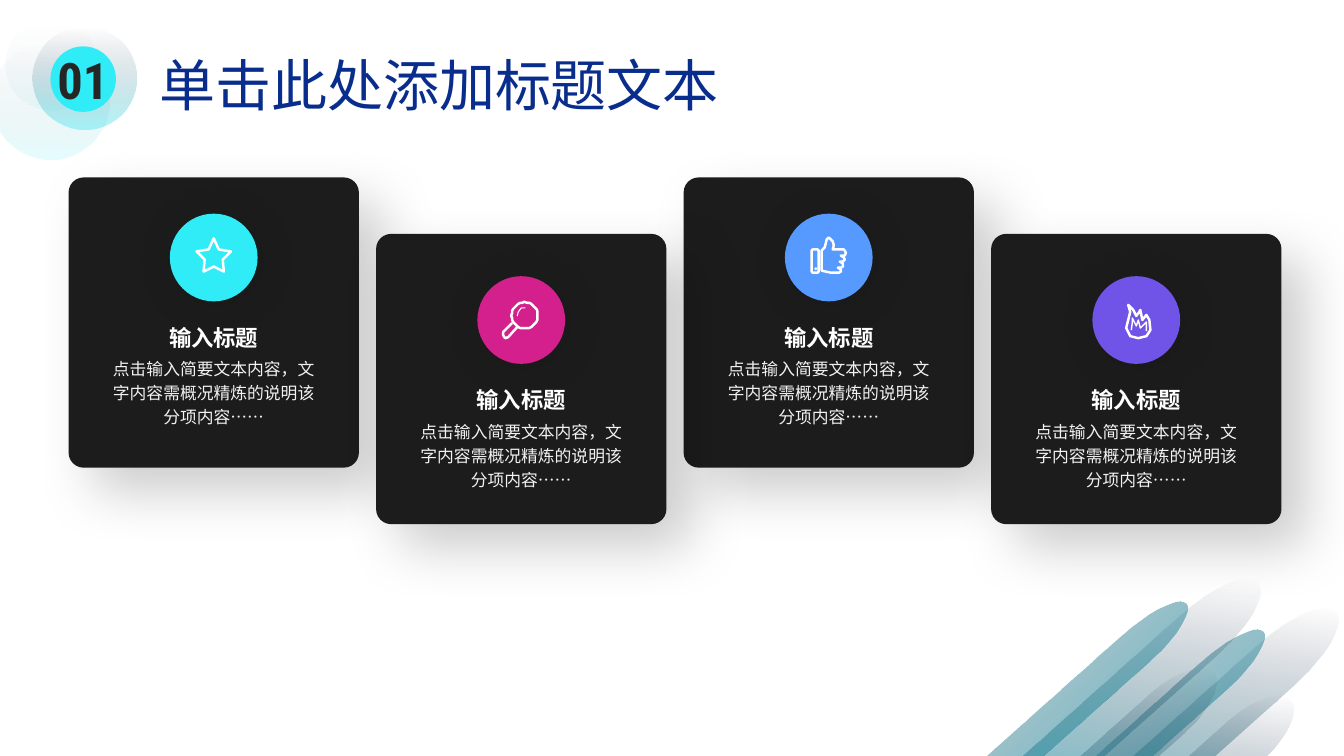
import math
from lxml import etree
from pptx import Presentation
from pptx import util as u
from pptx.dml.color import RGBColor
from pptx.enum import shapes, text
from pptx.oxml import ns

COLORS = {
    "navy": "082D8C", "cyan": "30ECF7", "night": "18122E", "card": "1C1C1C",
    "pink": "D4208C", "blue": "5699FF", "violet": "7054E7", "white": "FFFFFF",
    "soft": "F2F2F2", "number": "262626", "black": "000000",
}
CJK = "Noto Sans CJK SC"


def ring(x, y, radius, steps=36):
    turns = [2 * math.pi * step / steps for step in range(steps)]
    return [(x + radius * math.cos(turn), y + radius * math.sin(turn)) for turn in turns]


ICONS = {
    "star": [
        ([(0, -19), (5, -8), (17, -6.5), (9, 2), (10.5, 14), (0, 9),
          (-10.5, 14), (-9, 2), (-17, -6.5), (-5, -8)], True, 1.75),
    ],
    "thumb": [
        ([(-7, -7), (-4, -10), (-2, -18), (0.5, -19.5), (4, -16.5), (5, -12), (4, -8),
          (15, -7.5), (17, -5), (16, -2), (12, -1.5), (15, -0.5), (16, 2), (14, 4.5),
          (11, 4.5), (14, 6), (14, 9), (12, 10.5), (9, 10.5), (12, 12), (12, 14),
          (10, 15), (2, 15), (-7, 13)], True, 1.75),
        ([(-16, -8), (-11, -8), (-10, -7), (-10, 14), (-11, 15), (-16, 15),
          (-17, 14), (-17, -7)], True, 1.75),
        (ring(-13, 11, 0.9, 12), True, 0.75),
    ],
    "lens": [
        (ring(3.5, -4.5, 13), True, 1.75),
        ([(-9, 3), (-18, 12.5), (-18.5, 15), (-15.5, 17.5), (-13, 17), (-3.5, 7)], False, 1.75),
        ([(-4, -4.5), (-3, -8.5), (0, -11.5), (4, -12)], False, 0.75),
    ],
    "flame": [
        ([(-7.5, -15), (-3, -10.5), (-0.5, -3.5), (3, -7.5), (3.5, -10), (5.5, 0.5),
          (9.5, -5), (13, 0.5), (13.5, 10.5), (10.5, 16), (1.5, 17.5), (-5.5, 16),
          (-9.5, 8.5), (-8, 0.5), (-6.5, -7.5)], True, 1.75),
        ([(-5, 10), (-4.5, 3), (-3.5, -1.5), (-0.5, 6.5), (2.5, 0.5), (3.5, 8),
          (10, 2.5), (9.5, 11)], False, 1),
    ],
}


class Board:
    cell = u.Inches(0.1)

    def __init__(self, deck):
        self.page = deck.slides.add_slide(deck.slide_layouts[5])

    def grid(self, *cells):
        return [round(cell * self.cell) for cell in cells]

    def color(self, name):
        return RGBColor.from_string(COLORS[name])

    def gradient(self, fill, names, angle):
        fill.gradient()
        fill.gradient_angle = (360 - angle) % 360
        for stop, name in zip(fill.gradient_stops, names):
            stop.color.rgb = self.color(name)

    def typeset(self, frame, words, font, size, color=None, bold=False,
                align=text.PP_ALIGN.LEFT, spacing=1.0):
        frame.word_wrap = True
        frame.auto_size = text.MSO_AUTO_SIZE.NONE
        frame.text = words
        para = frame.paragraphs[0]
        para.alignment = align
        para.line_spacing = spacing
        span = para.runs[0]
        span.font.name = font
        span.font.size = u.Pt(size)
        span.font.bold = bold
        if color:
            span.font.fill.solid()
            span.font.fill.fore_color.rgb = self.color(color)
        asian = etree.SubElement(span.font._element, ns.qn("a:ea"))
        asian.set("typeface", font)
        return span

    def title(self, words, *cells):
        title = self.page.shapes.title
        title.left, title.top, title.width, title.height = self.grid(*cells)
        title.text_frame.vertical_anchor = text.MSO_ANCHOR.MIDDLE
        span = self.typeset(title.text_frame, words, "Noto Sans CJK JP", 40, spacing=0.9)
        self.gradient(span.font.fill, ("navy", "cyan"), 270)

    def label(self, words, cells, *style, **options):
        box = self.page.shapes.add_textbox(*self.grid(*cells))
        self.typeset(box.text_frame, words, *style, **options)

    def shape(self, kind, cells, color=None):
        shape = self.page.shapes.add_shape(kind, *self.grid(*cells))
        shape.shadow.inherit = False
        shape.line.fill.background()
        if color:
            shape.fill.solid()
            shape.fill.fore_color.rgb = self.color(color)
        return shape

    def glow(self, kind, cells, angle, opacity=100, rotation=0):
        shape = self.shape(kind, cells)
        shape.rotation = rotation
        self.gradient(shape.fill, ("night", "cyan"), angle)
        stops = shape._element.spPr.iter(ns.qn("a:srgbClr"))
        for stop, percent in zip(stops, (0, opacity)):
            etree.SubElement(stop, ns.qn("a:alpha")).set("val", str(percent * 1000))

    def shadow(self, shape, opacity, blur, distance):
        effects = shape._element.spPr.find(ns.qn("a:effectLst"))
        outer = etree.SubElement(
            effects, ns.qn("a:outerShdw"), blurRad=str(u.Pt(blur)), dist=str(u.Pt(distance)),
            dir="2700000", algn="tl", rotWithShape="0")
        tint = etree.SubElement(outer, ns.qn("a:srgbClr"), val=COLORS["black"])
        etree.SubElement(tint, ns.qn("a:alpha"), val=str(opacity * 1000))

    def icon(self, name, x, y):
        for points, closed, width in ICONS[name]:
            builder = self.page.shapes.build_freeform(*points[0], scale=self.cell / 10)
            builder.add_line_segments(points[1:], close=closed)
            stroke = builder.convert_to_shape(*self.grid(x, y))
            stroke.shadow.inherit = False
            stroke.fill.background()
            stroke.line.color.rgb = self.color("white")
            stroke.line.width = u.Pt(width)

    def card(self, column, top, badge_top, color, icon):
        left, side, badge = 6.8 + 30.5 * column, 28.8, 8.7
        middle = left + side / 2
        panel = self.shape(shapes.MSO_SHAPE.ROUNDED_RECTANGLE, (left, top, side, side), "card")
        panel.adjustments[0] = 0.052
        self.shadow(panel, 20, 40, 24)
        centred = {"align": text.PP_ALIGN.CENTER, "spacing": 1.2}
        self.label("点击输入简要文本内容，文字内容需概况精炼的说明该分项内容……",
                   (middle - 11.7, badge_top + 13.5, 23.4, 8.3), CJK, 12, "soft", **centred)
        self.label("输入标题", (middle - 11.7, badge_top + 9.9, 23.4, 4.2),
                   CJK, 16, "white", True, **centred)
        disc = self.shape(shapes.MSO_SHAPE.OVAL,
                          (middle - badge / 2, badge_top, badge, badge), color)
        self.shadow(disc, 10, 29, 3)
        self.icon(icon, middle, badge_top + badge / 2)


def main():
    deck = Presentation()
    deck.slide_width, deck.slide_height = u.Inches(13.33), u.Inches(7.5)
    board = Board(deck)
    oval = shapes.MSO_SHAPE.OVAL
    for left, top, size, opacity in ((-0.8, 4.1, 11.7, 13), (3.2, 2.6, 10.3, 39),
                                     (0.5, 1.8, 9.2, 7)):
        board.glow(oval, (left, top, size, size), 90, opacity)
    board.shape(oval, (5, 4.6, 6.5, 6.5), "cyan")
    bars = ((89, 74.5, 49.8, 5.4, 140), (87.5, 75.2, 43.3, 3.8, 90), (95.1, 79.4, 37.7, 5.2, 140))
    for shift_x, shift_y in ((0, 0), (-7.7, -2.8)):
        for left, top, width, height, angle in bars:
            board.glow(shapes.MSO_SHAPE.FLOWCHART_TERMINATOR,
                       (left + shift_x, top + shift_y, width, height), angle, rotation=318.2)
    high, low = (17.6, 21.2), (23.2, 27.4)
    for column, tops, color, icon in ((0, high, "cyan", "star"), (2, high, "blue", "thumb"),
                                      (1, low, "pink", "lens"), (3, low, "violet", "flame")):
        board.card(column, *tops, color, icon)
    board.title("单击此处添加标题文本", 14.8, 5.3, 71.4, 6.9)
    board.label("01", (4.7, 4.4, 8.5, 7.1), "Roboto Condensed", 36, "number", True)
    deck.save("out.pptx")


if __name__ == "__main__":
    main()
